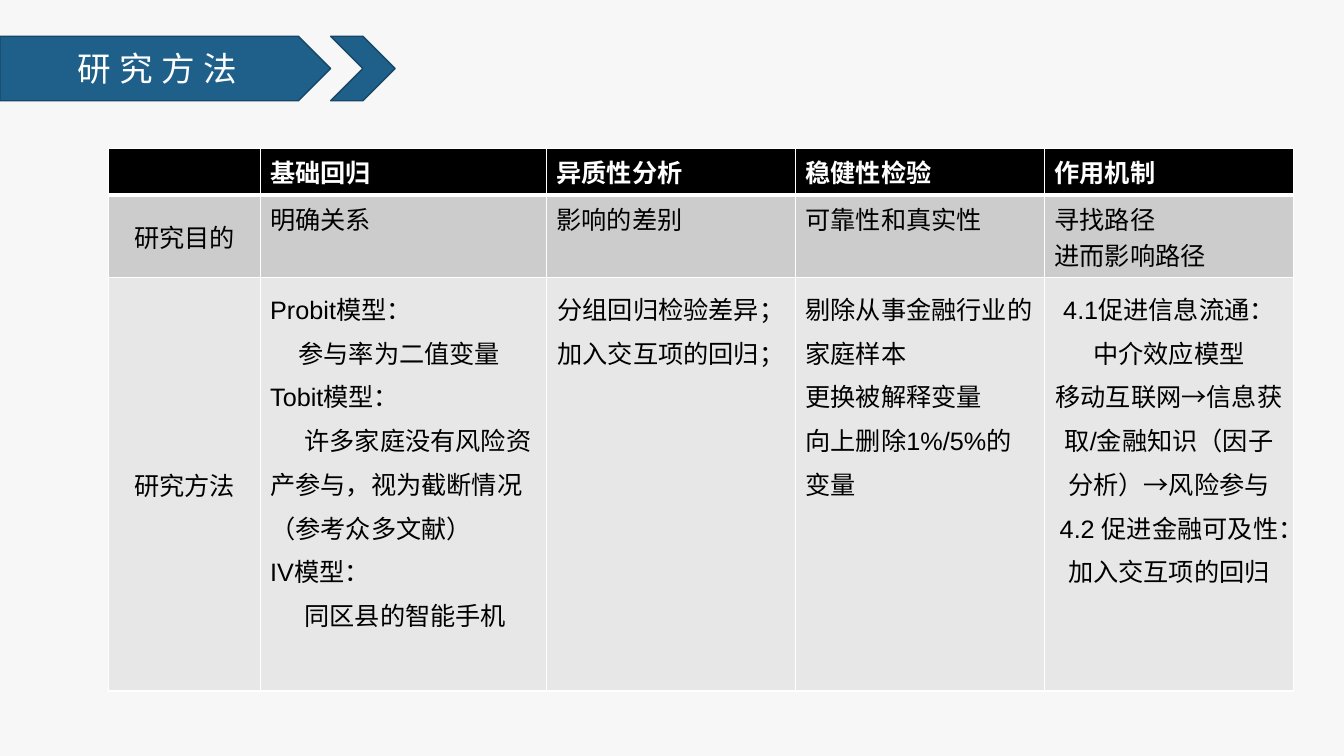
from lxml.etree import SubElement
from pptx import Presentation
from pptx.dml.color import RGBColor
from pptx.enum.lang import MSO_LANGUAGE_ID
from pptx.enum.shapes import MSO_SHAPE
from pptx.enum.text import MSO_ANCHOR, MSO_AUTO_SIZE, PP_ALIGN
from pptx.oxml.ns import qn
from pptx.util import Inches, Pt

HEADINGS = ["", "基础回归", "异质性分析", "稳健性检验", "作用机制"]
PURPOSES = ["研究目的", "明确关系", "影响的差别", "可靠性和真实性",
            "寻找路径\n进而影响路径"]
METHODS = [
    "研究方法",
    "Probit模型：\n参与率为二值变量\nTobit模型：\n"
    "许多家庭没有风险资产参与，视为截断情况（参考众多文献）\n"
    "IV模型：\n同区县的智能手机",
    "分组回归检验差异；\n加入交互项的回归；",
    "剔除从事金融行业的家庭样本\n更换被解释变量\n向上删除1%/5%的变量",
    "4.1促进信息流通：中介效应模型\n"
    "移动互联网→信息获取/金融知识（因子分析）→风险参与\n"
    "4.2 促进金融可及性：加入交互项的回归",
]
ROW_FILLS = ["000000", "CCCCCC", "E7E7E7"]
COLUMN_WIDTHS = [1.5, 2.84, 2.47, 2.47, 2.47]
ROW_HEIGHTS = [0.42, 0.76, 4.1]
METHOD_ROW = 2
MODEL_COLUMN = 1
CENTRED_METHOD_COLUMNS = (2, 4)
MODEL_INDENTS = {1: 0.28, 3: 0.34, 5: 0.34}


def color(value):
    return RGBColor.from_string(value)


class SlideBuilder:
    font_name = "Arial"
    banner_fill = "1F608B"
    banner_line = "174767"

    def __init__(self, deck):
        self.page = deck.slides.add_slide(deck.slide_layouts[5])
        background = self.page.background.fill
        background.solid()
        background.fore_color.rgb = color("F7F7F7")

    def format_runs(self, para, size, hex_color, bold=False):
        for span in para.runs:
            font = span.font
            font.name, font.size, font.bold = self.font_name, Pt(size), bold
            font.color.rgb = color(hex_color)
            font.language_id = MSO_LANGUAGE_ID.SIMPLIFIED_CHINESE

    def add_banner_shape(self, kind, left, width):
        shape = self.page.shapes.add_shape(
            kind, Inches(left), Inches(0.36), Inches(width), Inches(0.64))
        shape.shadow.inherit = False
        shape.fill.solid()
        shape.fill.fore_color.rgb = color(self.banner_fill)
        shape.line.color.rgb = color(self.banner_line)
        shape.line.width = Pt(1)

    def add_title(self, text):
        """Place the title placeholder in front of the banner."""
        title = self.page.shapes.title
        title.left, title.top = Inches(0), Inches(0.36)
        title.width, title.height = Inches(3.12), Inches(0.64)
        frame = title.text_frame
        frame.text = text
        frame.auto_size = MSO_AUTO_SIZE.NONE
        frame.vertical_anchor = MSO_ANCHOR.MIDDLE
        frame.margin_left = frame.margin_right = 0
        para = frame.paragraphs[0]
        para.alignment = PP_ALIGN.CENTER
        self.format_runs(para, 24, "FFFFFF")
        for span in para.runs:
            span.font._element.set("spc", "600")
        self.page.shapes._spTree.append(title._element)

    def set_borders(self, cell, top, bottom):
        """Draw white cell borders, with the top and bottom widths in points."""
        properties = cell._tc.get_or_add_tcPr()
        widths = {"lnL": 1, "lnR": 1, "lnT": top, "lnB": bottom}
        for position, (tag, width) in enumerate(widths.items()):
            line = SubElement(properties, qn(f"a:{tag}"), w=str(Pt(width)))
            fill = SubElement(line, qn("a:solidFill"))
            SubElement(fill, qn("a:srgbClr"), val="FFFFFF")
            properties.insert(position, line)

    def fill_cell(self, cell, text, row, column):
        cell.text = text
        cell.fill.solid()
        cell.fill.fore_color.rgb = color(ROW_FILLS[row])
        is_heading = row == 0
        is_method = row == METHOD_ROW and column > 0
        centred = column == 0 or (is_method and column in CENTRED_METHOD_COLUMNS)
        cell.vertical_anchor = MSO_ANCHOR.TOP if column else MSO_ANCHOR.MIDDLE
        for index, para in enumerate(cell.text_frame.paragraphs):
            para.alignment = PP_ALIGN.CENTER if centred else PP_ALIGN.LEFT
            if is_method:
                para.line_spacing = 1.2
            if is_method and column == MODEL_COLUMN and index in MODEL_INDENTS:
                indent = Inches(MODEL_INDENTS[index])
                para._p.get_or_add_pPr().set("indent", str(indent))
            self.format_runs(para, 18, "FFFFFF" if is_heading else "000000",
                             is_heading)
        self.set_borders(cell, 3 if row == 1 else 1, 3 if is_heading else 1)

    def add_table(self, rows):
        table = self.page.shapes.add_table(
            len(rows), len(COLUMN_WIDTHS), Inches(1.08), Inches(1.47),
            Inches(sum(COLUMN_WIDTHS)), Inches(sum(ROW_HEIGHTS))).table
        for column, width in zip(table.columns, COLUMN_WIDTHS):
            column.width = Inches(width)
        for row, height in zip(table.rows, ROW_HEIGHTS):
            row.height = Inches(height)
        for row, texts in enumerate(rows):
            for column, text in enumerate(texts):
                self.fill_cell(table.cell(row, column), text, row, column)


def main():
    deck = Presentation()
    deck.slide_width, deck.slide_height = Inches(13.33), Inches(7.5)
    builder = SlideBuilder(deck)
    builder.add_banner_shape(MSO_SHAPE.PENTAGON, 0, 3.28)
    builder.add_banner_shape(MSO_SHAPE.CHEVRON, 3.28, 0.64)
    builder.add_title("研究方法")
    builder.add_table([HEADINGS, PURPOSES, METHODS])
    deck.save("out.pptx")


if __name__ == "__main__":
    main()
